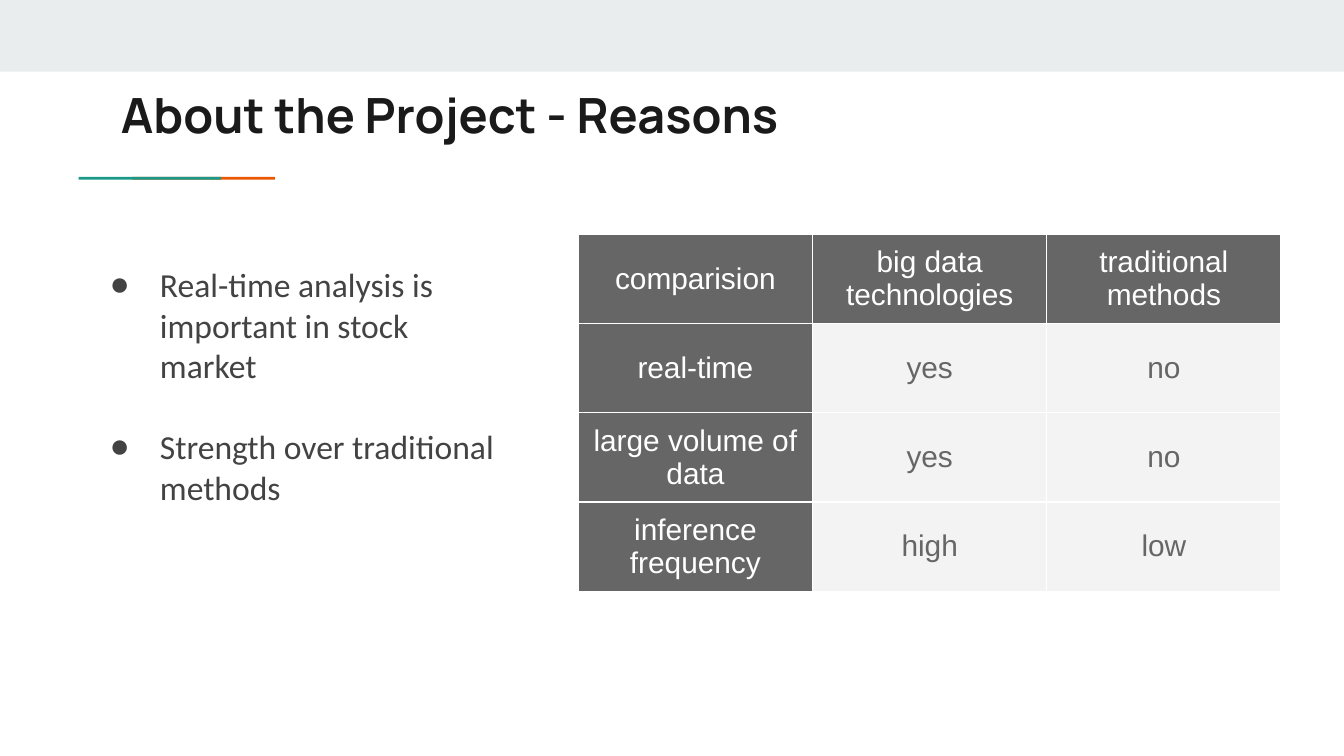
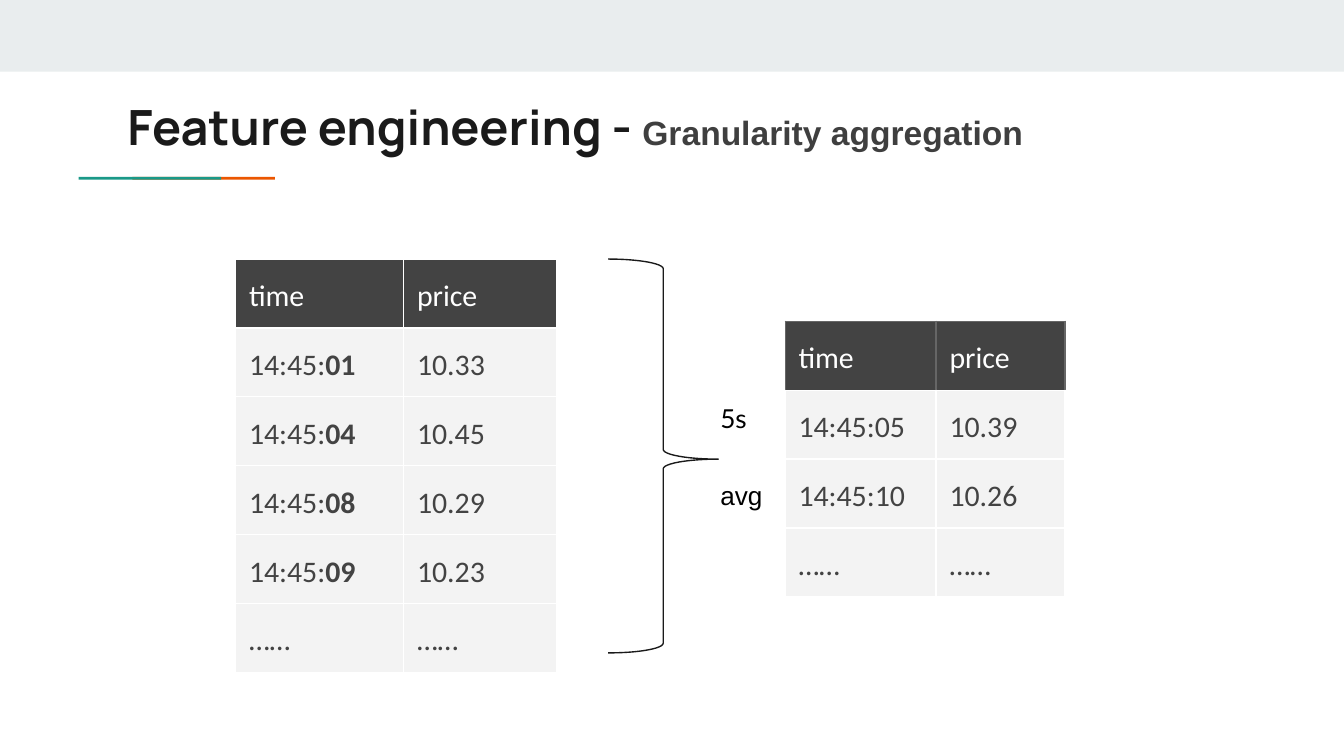
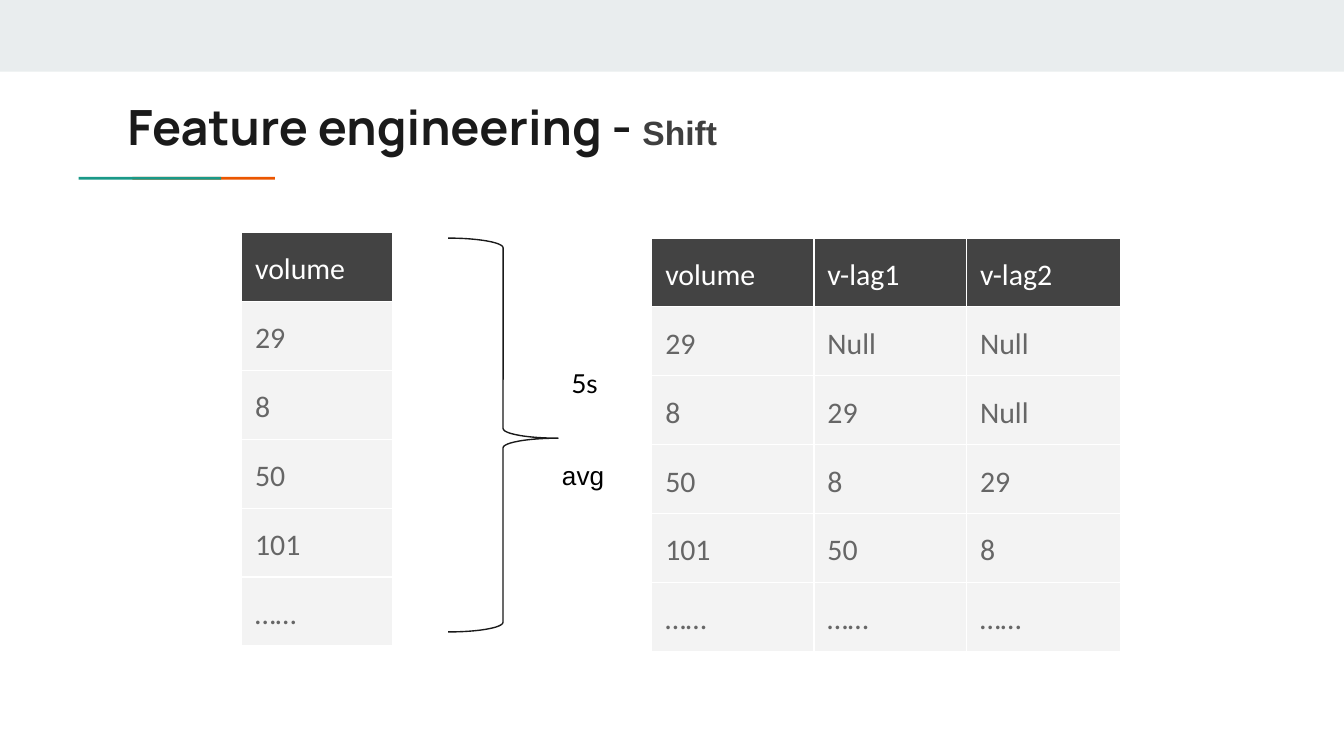
from lxml.etree import SubElement as Sub
from pptx import Presentation
from pptx.dml.color import RGBColor as Rgb
from pptx.enum.shapes import MSO_SHAPE as Kind
from pptx.enum.text import MSO_ANCHOR as Anchor, MSO_AUTO_SIZE as Fit, PP_ALIGN as Align
from pptx.oxml.ns import qn
from pptx.util import Pt

WHITE, BLACK, INK = "FFFFFF", "000000", "1A1A1A"
DARK, GREY, PALE = "434343", "666666", "F3F3F3"
BAND, TEAL, FLAME, SUB = "E9EDEE", "1A9988", "EB5600", "3F3F3F"
WIDE, HIGH = 720, 405
DOTS = "……"


def hue(code):
    return Rgb.from_string(code)


def style(run, size, face, color, bold=False):
    font = run.font
    font.size, font.name, font.bold = Pt(size), face, bold
    font.color.rgb = hue(color)


def place(shape, left, top, width, height):
    shape.left, shape.top = Pt(left), Pt(top)
    shape.width, shape.height = Pt(width), Pt(height)


def frame(shape, pad=7.2):
    text = shape.text_frame
    text.word_wrap = True
    text.auto_size = Fit.NONE
    text.vertical_anchor = Anchor.TOP
    text.margin_left = text.margin_right = Pt(pad)
    text.margin_top = text.margin_bottom = Pt(pad)
    return text


def bar(home, left, top, width, height, color, turn=0):
    shape = home.shapes.add_shape(Kind.RECTANGLE, Pt(left), Pt(top), Pt(width), Pt(height))
    shape.rotation = turn
    shape.shadow.inherit = False
    shape.fill.solid()
    shape.fill.fore_color.rgb = hue(color)
    shape.line.fill.background()


def accent(slide):
    group = slide.shapes.add_group_shape()
    bar(group, 11.3, 0, 1.5, 30, FLAME, 270)
    bar(group, 0, 0, 1.5, 30, TEAL, 270)
    place(group, 78.4, 80.5, 32.6, 30)


def start(deck, layout, left, top, main, tail=""):
    slide = deck.slides.add_slide(deck.slide_layouts[layout])
    bar(slide, 0, 0, WIDE, 38.4, BAND)
    accent(slide)
    title = slide.shapes.title
    place(title, left, top, 605.5, 42.5)
    para = frame(title).paragraphs[0]
    para.text = main
    para.alignment = Align.LEFT
    para.line_spacing = 1.0
    style(para.runs[0], 26, "Manrope", INK, True)
    if tail:
        run = para.add_run()
        run.text = tail
        style(run, 18, "Arial", SUB, True)
    return slide


def bullet(para, color):
    props = para._p.get_or_add_pPr()
    props.set("marL", str(Pt(36)))
    props.set("indent", str(Pt(-27)))
    tint = Sub(props, qn("a:buClr"))
    Sub(tint, qn("a:srgbClr"), val=color)
    Sub(props, qn("a:buChar"), char="●")


def points(slide, left, top, width, height, items):
    body = slide.placeholders[1]
    place(body, left, top, width, height)
    text = frame(body)
    text.text = "\n".join(items)
    for num, para in enumerate(text.paragraphs):
        para.space_before = Pt(22 if num else 0)
        para.line_spacing = 1.0
        bullet(para, DARK)
        style(para.runs[0], 18, "Calibri", DARK)


def edge(cell, colors):
    props = cell._tc.get_or_add_tcPr()
    for num, (side, color) in enumerate(zip("LRTB", colors)):
        line = props.makeelement(qn("a:ln" + side), {"w": str(Pt(0.75))})
        fill = Sub(line, qn("a:solidFill"))
        Sub(fill, qn("a:srgbClr"), val=color)
        props.insert(num, line)


def cells(slide, left, top, widths, height, rows):
    shape = slide.shapes.add_table(
        len(rows), len(widths), Pt(left), Pt(top), Pt(sum(widths)), Pt(height * len(rows)))
    table = shape.table
    table.first_row = table.horz_banding = False
    for col, width in zip(table.columns, widths):
        col.width = Pt(width)
    for row, words in zip(table.rows, rows):
        row.height = Pt(height)
        for cell, word in zip(row.cells, words):
            yield cell, word


def paint(cell, pad, fill, colors):
    cell.margin_left = cell.margin_right = Pt(pad)
    cell.margin_top = cell.margin_bottom = Pt(pad)
    cell.fill.solid()
    cell.fill.fore_color.rgb = hue(fill)
    edge(cell, colors)


def matrix(slide, left, top, widths, height, rows):
    for num, (cell, word) in enumerate(cells(slide, left, top, widths, height, rows)):
        head = num < len(widths) or num % len(widths) == 0
        paint(cell, 5.76, GREY if head else PALE, [WHITE] * 4)
        cell.vertical_anchor = Anchor.MIDDLE
        para = cell.text_frame.paragraphs[0]
        para.text = word
        para.alignment = Align.CENTER
        style(para.runs[0], 16, "Arial", WHITE if head else GREY)


def data(slide, left, top, widths, rows, color, rim=WHITE):
    for num, (cell, word) in enumerate(cells(slide, left, top, widths, 35.1, rows)):
        head = num < len(widths)
        paint(cell, 7.2, DARK if head else PALE, [rim if head else WHITE] * 3 + [WHITE])
        para = cell.text_frame.paragraphs[0]
        para.line_spacing = 1.15
        first, *rest = word.split("|")
        para.text = first
        for part in rest:
            para.add_run().text = part
        for step, run in enumerate(para.runs):
            style(run, 16, "Calibri", WHITE if head else color, step > 0)


def brace(slide, left, top):
    shape = slide.shapes.add_shape(Kind.RIGHT_BRACE, Pt(left), Pt(top), Pt(59), Pt(211))
    shape.adjustments[0], shape.adjustments[1] = 0.088, 0.508
    shape.shadow.inherit = False
    shape.fill.background()
    shape.line.color.rgb = hue(INK)
    shape.line.width = Pt(0.75)


def label(slide, left, top, width, height, word, face, space=1.0):
    box = slide.shapes.add_textbox(Pt(left), Pt(top), Pt(width), Pt(height))
    para = frame(box).paragraphs[0]
    para.text = word
    para.line_spacing = space
    style(para.runs[0], 14, face, BLACK)


def reasons(deck):
    slide = start(deck, 1, 57.6, 38.4, "About the Project - Reasons")
    matrix(slide, 309.8, 125.6, [125.5] * 3, 47.8, [
        ["comparision", "big data technologies", "traditional methods"],
        ["real-time", "yes", "no"],
        ["large volume of data", "yes", "no"],
        ["inference frequency", "high", "low"]])
    points(slide, 42.5, 134.3, 236, 158.4, [
        "Real-time analysis is important in stock market",
        "Strength over traditional methods"])


def feature(deck, tail):
    return start(deck, 5, 61, 45, "Feature engineering - ", tail)


def grain(deck):
    slide = feature(deck, "Granularity aggregation")
    data(slide, 126.2, 138.8, [90, 82], [
        ["time", "price"],
        ["14:45:|01", "10.33"],
        ["14:45:|04", "10.45"],
        ["14:45:|08", "10.29"],
        ["14:45:|09", "10.23"],
        [DOTS] * 2], DARK)
    data(slide, 420.6, 172.1, [80.9, 69.1], [
        ["time", "price"],
        ["14:45:05", "10.39"],
        ["14:45:10", "10.26"],
        [DOTS] * 2], DARK, GREY)
    label(slide, 378.8, 208.4, 38.2, 25.9, "5s", "Lato")
    label(slide, 378.8, 247, 38.2, 35.3, "avg", "Arial", 1.15)
    brace(slide, 325.8, 138.8)


def shift(deck):
    slide = feature(deck, "Shift")
    label(slide, 299, 189.4, 67, 25.9, "5s", "Lato")
    label(slide, 294, 236.2, 38.2, 35.3, "avg", "Arial", 1.15)
    items = ["29", "8", "50", "101"]
    data(slide, 129.5, 124.6, [80.7],
         [["volume"]] + [[item] for item in items] + [[DOTS]], GREY)
    lags = zip(items, ["Null"] + items, ["Null"] * 2 + items)
    data(slide, 349.2, 127.5, [86.9, 81.8, 82.5],
         [["volume", "v-lag1", "v-lag2"], *lags, [DOTS] * 3], GREY)
    brace(slide, 240, 127.6)


def main():
    deck = Presentation()
    deck.slide_width, deck.slide_height = Pt(WIDE), Pt(HIGH)
    reasons(deck)
    grain(deck)
    shift(deck)
    deck.save("out.pptx")


if __name__ == "__main__":
    main()
